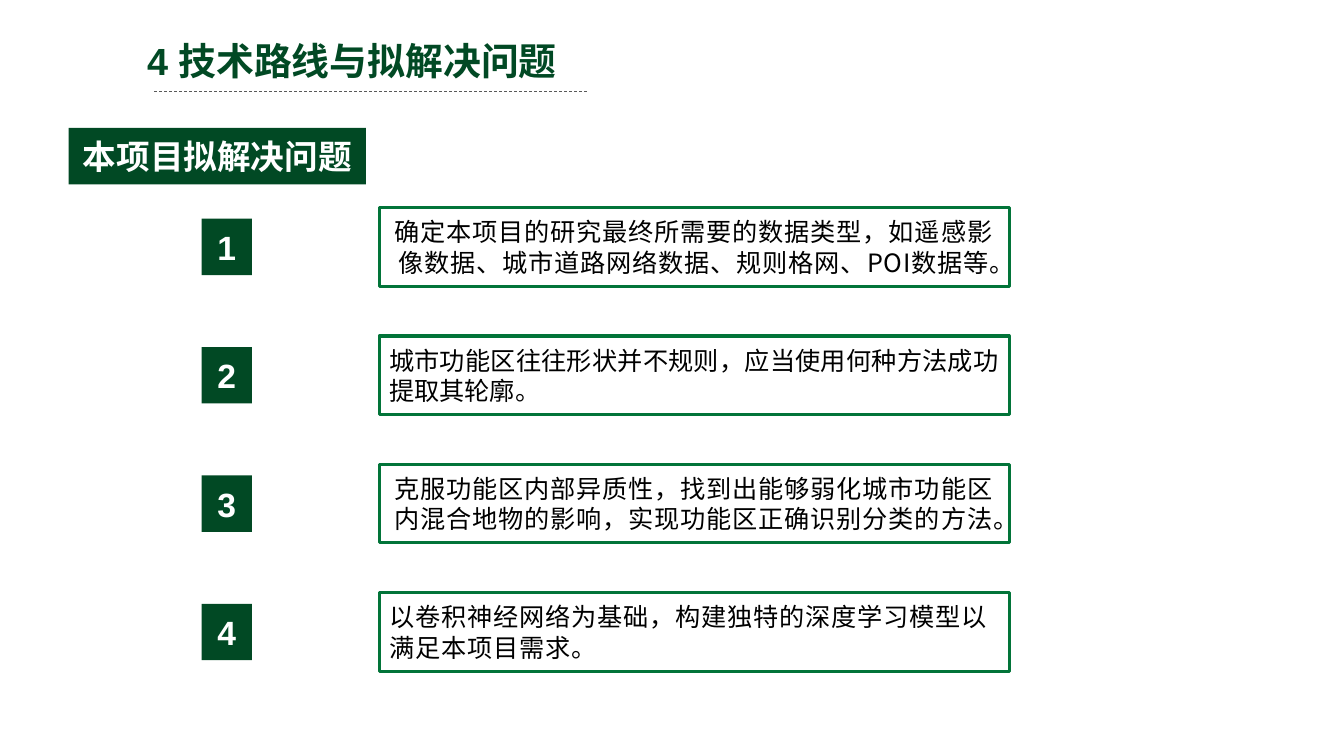
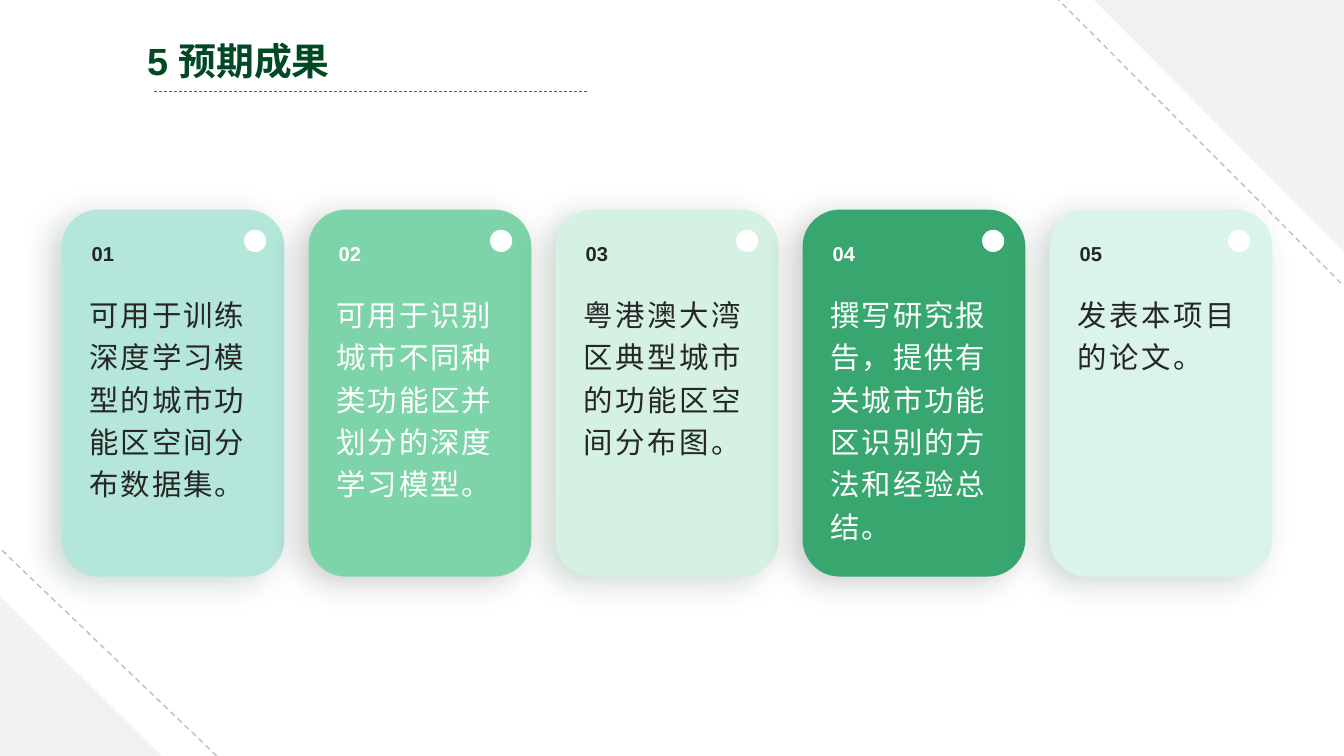
import pptx
import pptx.util
import pptx.dml.color
import pptx.enum.dml
import pptx.enum.shapes
import pptx.enum.text
import pptx.oxml
import pptx.oxml.ns
from lxml import etree

Inches, Pt = pptx.util.Inches, pptx.util.Pt
SHAPE = pptx.enum.shapes.MSO_SHAPE
ALIGN = pptx.enum.text.PP_ALIGN
ANCHOR = pptx.enum.text.MSO_ANCHOR

COLORS = {
    "dark_green": "014924", "frame_green": "027439", "white": "FFFFFF",
    "black": "000000", "ink": "262626", "rule": "595959",
    "corner": "F2F2F2", "corner_line": "BFBFBF", "green_shadow": "01371B",
    "mint": "B4E6DA", "green": "7DD4A9", "pale_green": "D4F1E2",
    "deep_green": "37A76F", "pale_mint": "DAF3ED",
}
LATIN, CJK = "Arial", "Noto Sans CJK SC"

# Content
PROBLEMS_TITLE = "4 技术路线与拟解决问题"
PROBLEMS_HEADING = "本项目拟解决问题"
PROBLEMS = [  # text, alignment, letter spacing
    ("确定本项目的研究最终所需要的数据类型，如遥感影像数据、城市道路网络数据、规则格网、POI数据等。",
     ALIGN.CENTER, 0.6),
    ("城市功能区往往形状并不规则，应当使用何种方法成功提取其轮廓。", ALIGN.JUSTIFY, 0),
    ("克服功能区内部异质性，找到出能够弱化城市功能区内混合地物的影响，实现功能区正确识别分类的方法。",
     ALIGN.CENTER, 0.6),
    ("以卷积神经网络为基础，构建独特的深度学习模型以满足本项目需求。", ALIGN.LEFT, 0.6),
]
RESULTS_TITLE = "5 预期成果"
RESULTS = [  # text, card colour, text colour, shadow colour, letter spacing
    ("可用于训练深度学习模型的城市功能区空间分布数据集。", "mint", "ink", "green_shadow", 1.4),
    ("可用于识别城市不同种类功能区并划分的深度学习模型。", "green", "white", "black", 1.4),
    ("粤港澳大湾区典型城市的功能区空间分布图。", "pale_green", "ink", "green_shadow", 1.8),
    ("撰写研究报告，提供有关城市功能区识别的方法和经验总结。", "deep_green", "white", "black", 1.3),
    ("发表本项目的论文。", "pale_mint", "ink", "green_shadow", 1.8),
]


def rgb(name):
    return pptx.dml.color.RGBColor.from_string(COLORS[name])


def write(shape, text, size, color, bold=False, align=ALIGN.LEFT,
          anchor=ANCHOR.MIDDLE, font=LATIN, spacing=0):
    frame = shape.text_frame
    frame.word_wrap = True
    frame.vertical_anchor = anchor
    paragraph = frame.paragraphs[0]
    paragraph.alignment = align
    run = paragraph.add_run()
    run.text = text
    run.font.size = Pt(size)
    run.font.bold = bold
    run.font.name = font
    run.font.color.rgb = rgb(color)
    properties = run.font._element
    east_asian = etree.SubElement(properties, pptx.oxml.ns.qn("a:ea"))
    east_asian.set("typeface", CJK)
    if spacing:
        properties.set("spc", str(round(spacing * 100)))
    return paragraph


def add_text(slide, box, text, size, color, **style):
    label = slide.shapes.add_textbox(*map(Inches, box))
    return write(label, text, size, color, **style)


def paint(shape, fill=None, line=None):
    shape.shadow.inherit = False
    if fill:
        shape.fill.solid()
        shape.fill.fore_color.rgb = rgb(fill)
    else:
        shape.fill.background()
    if line:
        shape.line.color.rgb = rgb(line)
        shape.line.width = Pt(2.25)
    else:
        shape.line.fill.background()
    return shape


def add_shape(slide, kind, box, fill=None, line=None):
    return paint(slide.shapes.add_shape(kind, *map(Inches, box)), fill, line)


def add_dashed_line(slide, start, end, color, width):
    line = slide.shapes.add_connector(
        pptx.enum.shapes.MSO_CONNECTOR.STRAIGHT, *map(Inches, start + end))
    line.line.color.rgb = rgb(color)
    line.line.width = Pt(width)
    line.line.dash_style = pptx.enum.dml.MSO_LINE.DASH
    etree.SubElement(line._element.spPr, pptx.oxml.ns.qn("a:effectLst"))


def add_soft_shadow(shape, color):
    effects = shape._element.spPr.find(pptx.oxml.ns.qn("a:effectLst"))
    effects.append(pptx.oxml.parse_xml(
        f'<a:outerShdw {pptx.oxml.ns.nsdecls("a")} blurRad="{Pt(23)}" dist="{Pt(9)}" '
        f'dir="{150 * 60000}" algn="ctr" rotWithShape="0">'
        f'<a:srgbClr val="{COLORS[color]}"><a:alpha val="20000"/></a:srgbClr>'
        '</a:outerShdw>'))


def add_titled_slide(deck, title):
    slide = deck.slides.add_slide(deck.slide_layouts[6])
    add_text(slide, (1.36, 0.33, 5.52, 0.56), title, 27, "dark_green",
             bold=True, anchor=ANCHOR.TOP)
    add_dashed_line(slide, (1.53, 0.91), (5.84, 0.91), "rule", 0.5)
    return slide


def add_green_label(slide, box, text):
    label = add_shape(slide, SHAPE.RECTANGLE, box, "dark_green")
    write(label, text, 24, "white", bold=True, align=ALIGN.CENTER)


def build_problems(deck):
    slide = add_titled_slide(deck, PROBLEMS_TITLE)
    add_green_label(slide, (0.68, 1.27, 2.95, 0.56), PROBLEMS_HEADING)
    first_top, last_top = 2.06, 5.88
    pitch = (last_top - first_top) / (len(PROBLEMS) - 1)
    for i, (text, align, spacing) in enumerate(PROBLEMS):
        top = first_top + i * pitch
        add_green_label(slide, (2, top + 0.11, 0.5, 0.56), str(i + 1))
        problem = add_shape(slide, SHAPE.RECTANGLE, (3.76, top, 6.25, 0.78), line="frame_green")
        write(problem, text, 18, "black", align=align, font=CJK, spacing=spacing)


def add_corners(slide):
    # Top right, then bottom left
    add_dashed_line(slide, (13.3, 2.81), (10.5, 0), "corner_line", 1)
    outline = slide.shapes.build_freeform(Inches(10.85), 0)
    outline.add_line_segments([(Inches(13.33), 0), (Inches(13.33), Inches(2.5))], close=True)
    paint(outline.convert_to_shape(), "corner")
    add_shape(slide, SHAPE.RIGHT_TRIANGLE, (0, 5.91, 1.6, 1.59), "corner")
    add_dashed_line(slide, (2.15, 7.5), (0.01, 5.45), "corner_line", 1)


def build_results(deck):
    slide = add_titled_slide(deck, RESULTS_TITLE)
    add_corners(slide)
    for i, (text, fill, ink, shadow, spacing) in enumerate(RESULTS):
        left = 0.61 + i * 2.45
        card = add_shape(slide, SHAPE.ROUNDED_RECTANGLE, (left, 2.08, 2.21, 3.64), fill)
        add_soft_shadow(card, shadow)
        body = add_text(slide, (left + 0.18, 2.83, 1.85, 2.71), text, 21, ink,
                        anchor=ANCHOR.TOP, spacing=spacing)
        body.line_spacing = 1.2
        body.space_after = Pt(8)
        add_text(slide, (left + 0.13, 2.34, 0.56, 0.34), f"{i + 1:02}", 14.4, ink,
                 bold=True, align=ALIGN.CENTER)
        # Dots are spaced slightly closer than the cards
        add_shape(slide, SHAPE.OVAL, (2.42 + i * 2.44, 2.28, 0.22, 0.22), "white")


def main():
    deck = pptx.Presentation()
    deck.slide_width, deck.slide_height = Inches(13.33), Inches(7.5)
    build_problems(deck)
    build_results(deck)
    deck.save("out.pptx")


if __name__ == "__main__":
    main()
